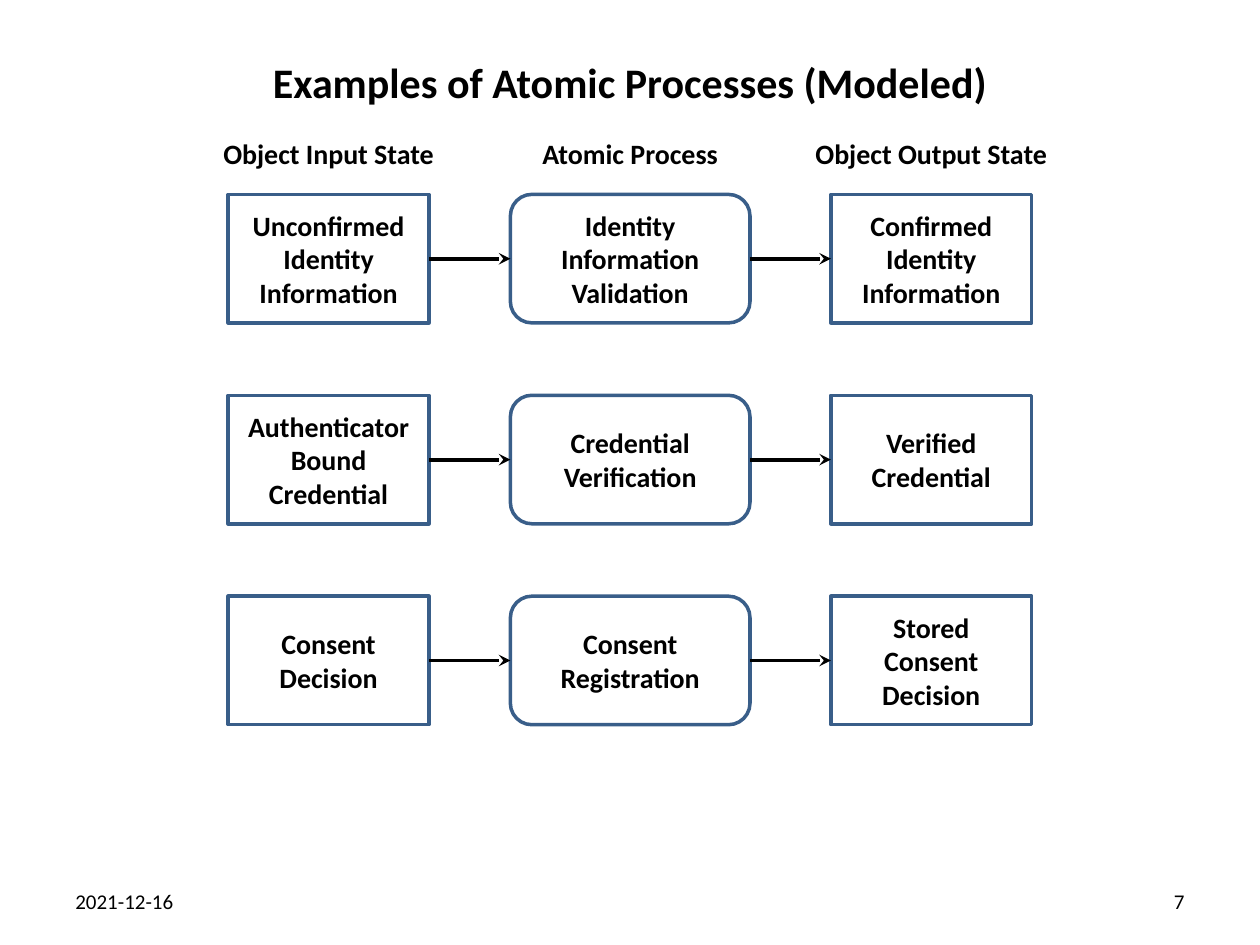
from lxml import etree
from pptx import Presentation
from pptx.dml.color import RGBColor
from pptx.enum.shapes import MSO_CONNECTOR, MSO_SHAPE
from pptx.enum.text import MSO_ANCHOR, PP_ALIGN
from pptx.oxml.ns import qn
from pptx.util import Cm, Pt

RECT, ROUND = MSO_SHAPE.RECTANGLE, MSO_SHAPE.ROUNDED_RECTANGLE
LEFT, MID, RIGHT = PP_ALIGN.LEFT, PP_ALIGN.CENTER, PP_ALIGN.RIGHT
STRAIGHT = MSO_CONNECTOR.STRAIGHT
MIDDLE = MSO_ANCHOR.MIDDLE

# Content
TITLE = "Examples of Atomic Processes (Modeled)"
DATE, PAGE = "2021-12-16", "7"
HEADS = ["Object Input State", "Atomic Process", "Object Output State"]
ROWS = [
    ["Unconfirmed Identity Information", "Identity Information Validation",
     "Confirmed Identity Information"],
    ["Authenticator Bound Credential", "Credential Verification",
     "Verified Credential"],
    ["Consent Decision", "Consent Registration", "Stored Consent Decision"],
]

# Layout in cm: shape, left and width of each column
COLS = [(RECT, 4.6, 4.05), (ROUND, 10.29, 4.83), (RECT, 16.75, 4.05)]
TOP, HIGH, PITCH = 3.92, 2.59, 4.05
HEAD_TOP, HEAD_WIDE, HEAD_HIGH = 2.62, 5.4, 0.94
COLORS = {"ink": "000000", "fill": "FFFFFF", "edge": "395E89"}


def color(name):
    return RGBColor.from_string(COLORS[name])


def write(shape, text, size, bold, align, wrap=True):
    frame = shape.text_frame
    frame.word_wrap = wrap
    frame.vertical_anchor = MIDDLE
    para = frame.paragraphs[0]
    para.alignment = align
    run = para.add_run()
    run.text = text
    font = run.font
    font.name, font.size, font.bold = "Calibri", Pt(size), bold
    font.color.rgb = color("ink")


def add_label(slide, text, x, y, w, h, size, bold, align, wrap=True):
    label = slide.shapes.add_textbox(Cm(x), Cm(y), Cm(w), Cm(h))
    write(label, text, size, bold, align, wrap)


def add_state(slide, text, kind, x, y, w):
    state = slide.shapes.add_shape(kind, Cm(x), Cm(y), Cm(w), Cm(HIGH))
    state.shadow.inherit = False
    state.fill.solid()
    state.fill.fore_color.rgb = color("fill")
    state.line.color.rgb = color("edge")
    state.line.width = Pt(2)
    write(state, text, 16, True, MID)
    return state


def add_arrow(slide, start, end):
    arrow = slide.shapes.add_connector(STRAIGHT, 0, 0, 0, 0)
    arrow.begin_connect(start, 3)
    arrow.end_connect(end, 1)
    arrow.line.color.rgb = color("ink")
    arrow.line.width = Pt(2.25)
    props = arrow.line._get_or_add_ln()
    etree.SubElement(props, qn("a:tailEnd"), type="stealth")
    etree.SubElement(arrow._element.spPr, qn("a:effectLst"))


def main():
    deck = Presentation()
    deck.slide_width, deck.slide_height = Cm(25.4), Cm(19.05)
    slide = deck.slides.add_slide(deck.slide_layouts[6])

    # Title and column heads
    add_label(slide, TITLE, 1.27, 1.07, 22.86, 1.17, 24, True, MID)
    for head, (_, x, w) in zip(HEADS, COLS):
        left = x + (w - HEAD_WIDE) / 2
        add_label(slide, head, left, HEAD_TOP, HEAD_WIDE, HEAD_HIGH,
                  16, True, MID, False)

    # Process rows, each joined from left to right
    for i, row in enumerate(ROWS):
        y = TOP + i * PITCH
        states = [add_state(slide, text, kind, x, y, w)
                  for text, (kind, x, w) in zip(row, COLS)]
        for start, end in zip(states, states[1:]):
            add_arrow(slide, start, end)

    # Footer
    add_label(slide, DATE, 1.27, 17.66, 5.93, 1.01, 12, False, LEFT)
    add_label(slide, PAGE, 18.2, 17.66, 5.93, 1.01, 12, False, RIGHT)
    deck.save("out.pptx")


if __name__ == "__main__":
    main()
